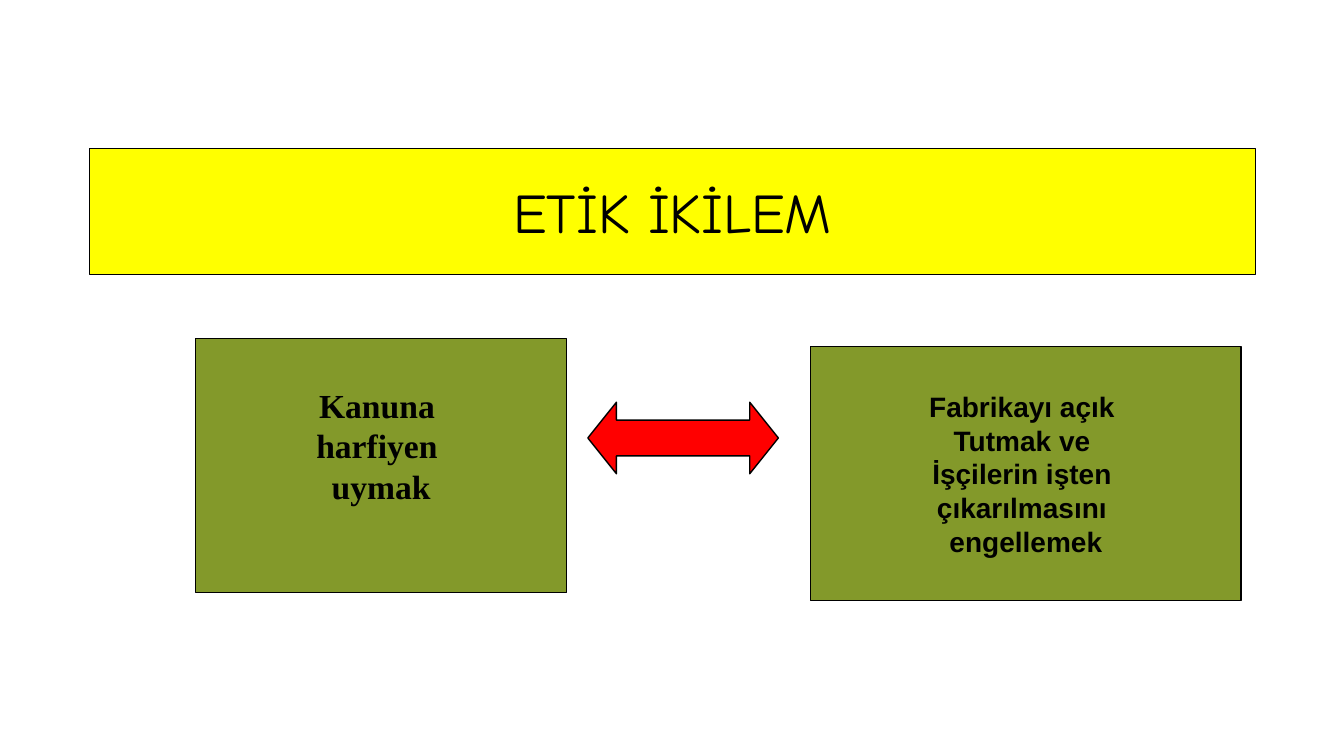
from pptx import Presentation
from pptx.dml.color import RGBColor
from pptx.enum.shapes import MSO_SHAPE as Shape
from pptx.enum.text import MSO_ANCHOR as Anchor, PP_ALIGN as Align
from pptx.util import Inches, Pt

BLACK = RGBColor(0, 0, 0)
YELLOW = RGBColor(0xFF, 0xFF, 0)
OLIVE = RGBColor(0x83, 0x99, 0x2A)
RED = RGBColor(0xFF, 0, 0)


def paint(shape, color, line_width):
    shape.fill.solid()
    shape.fill.fore_color.rgb = color
    shape.line.color.rgb = BLACK
    shape.line.width = Pt(line_width)


def write(shape, text, font_name, size, bold):
    frame = shape.text_frame
    frame.text = text
    frame.vertical_anchor = Anchor.MIDDLE
    for paragraph in frame.paragraphs:
        paragraph.alignment = Align.CENTER
        for run in paragraph.runs:
            run.font.name = font_name
            run.font.size = Pt(size)
            run.font.bold = bold
            run.font.color.rgb = BLACK


presentation = Presentation()
presentation.slide_width = Inches(13.33)
presentation.slide_height = Inches(7.5)
slide = presentation.slides.add_slide(presentation.slide_layouts[5])

# Title banner
title = slide.shapes.title
title.left, title.top = Inches(0.89), Inches(1.47)
title.width, title.height = Inches(11.56), Inches(1.25)
paint(title, YELLOW, 0.75)
write(title, "ETİK İKİLEM", "Comic Neue", 40, False)

# The two sides of the dilemma: left, top, width, bottom inset, text, font, size
sides = [
    (8.04, 3.44, 4.27, 0.05,
     "Fabrikayı açık \nTutmak ve \nİşçilerin işten \nçıkarılmasını \nengellemek",
     "Arial", 20),
    (1.94, 3.36, 3.68, 0.45, "Kanuna \nharfiyen \nuymak", "Times New Roman", 24),
]
for left, top, width, bottom_inset, text, font_name, size in sides:
    box = slide.shapes.add_shape(
        Shape.RECTANGLE, Inches(left), Inches(top), Inches(width), Inches(2.52))
    box.shadow.inherit = False
    paint(box, OLIVE, 1)
    write(box, text, font_name, size, True)
    box.text_frame.word_wrap = False
    box.text_frame.margin_bottom = Inches(bottom_inset)

# Arrow between the sides
arrow = slide.shapes.add_shape(
    Shape.LEFT_RIGHT_ARROW, Inches(5.83), Inches(3.99), Inches(1.89), Inches(0.71))
arrow.shadow.inherit = False
arrow.adjustments[0] = 0.5
arrow.adjustments[1] = 0.4
paint(arrow, RED, 1)

presentation.save("out.pptx")
